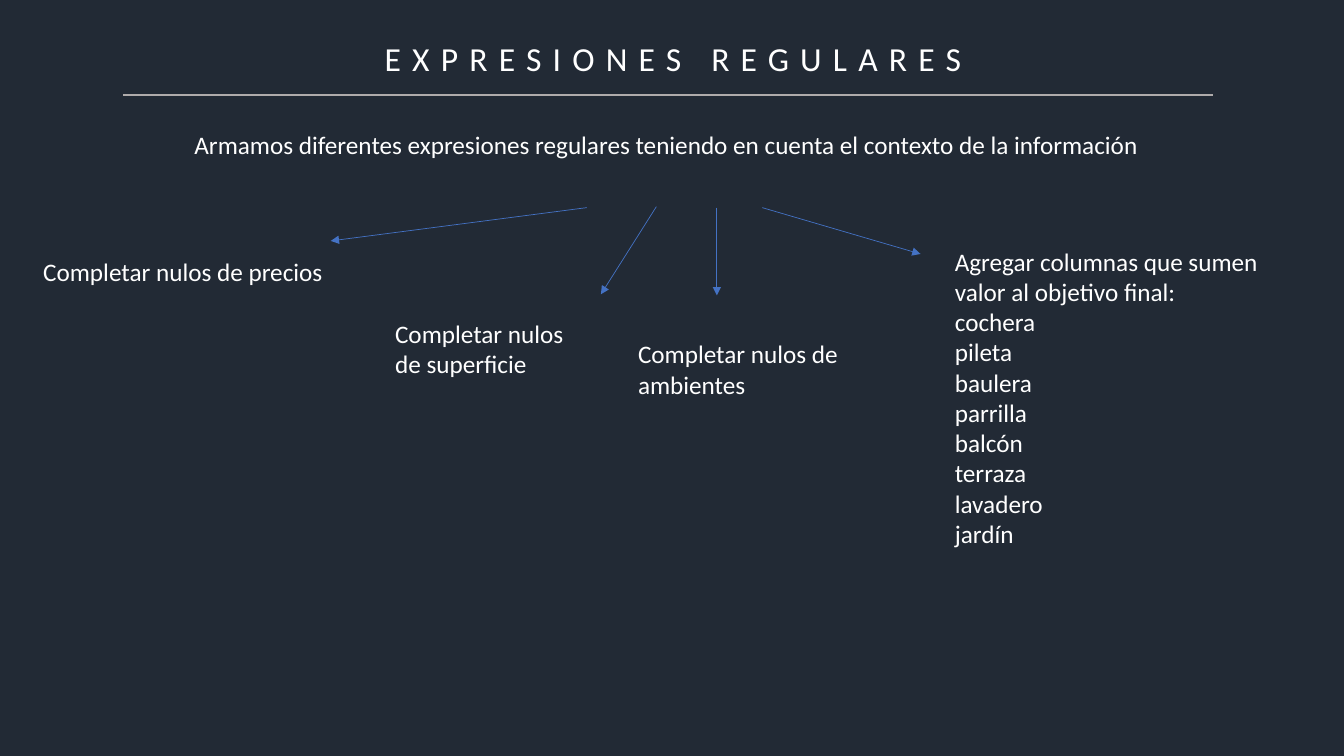
from dataclasses import dataclass

from lxml import etree
from pptx import Presentation, util as u
from pptx.dml.color import RGBColor
from pptx.enum import shapes, text
from pptx.oxml.ns import qn

PX = 9144  # EMU per px, 100 px to the inch


@dataclass(frozen=True)
class Theme:
    back: str = "222A35"
    ink: str = "FFFFFF"
    rule: str = "AFABAB"
    arrow: str = "4472C4"
    font: str = "Calibri"
    title: int = 24
    body: int = 18


THEME = Theme()

NOTES = [
    ((183, 123, 958, 40), False,
     "Armamos diferentes expresiones regulares teniendo en cuenta el contexto de la información"),
    ((33, 249, 301, 40), False, "Completar nulos de precios"),
    ((382, 311, 212, 71), True, "Completar nulos de superficie"),
    ((623, 331, 244, 71), True, "Completar nulos de ambientes"),
]
COLUMNS = [
    "Agregar columnas que sumen", "valor al objetivo final:",
    "cochera", "pileta", "baulera", "parrilla",
    "balcón", "terraza", "lavadero", "jardín",
]
ARROWS = [
    (582, 206, 328, 239),
    (651, 205, 596, 292),
    (711, 206, 711, 293),
    (756, 206, 913, 252),
]


def place(shape, box):
    shape.left, shape.top, shape.width, shape.height = (v * PX for v in box)


def write(para, words, size):
    run = para.add_run()
    run.text = words
    run.font.name = THEME.font
    run.font.size = u.Pt(size)
    run.font.color.rgb = RGBColor.from_string(THEME.ink)
    return run


def add_title(slide, box, words):
    title = slide.shapes.title
    place(title, box)
    para = title.text_frame.paragraphs[0]
    para.alignment = text.PP_ALIGN.CENTER
    run = write(para, words, THEME.title)
    run.font._element.set("spc", "800")


def add_note(slide, box, wrap, words):
    note = slide.shapes.add_textbox(*(v * PX for v in box))
    note.text_frame.word_wrap = wrap
    write(note.text_frame.paragraphs[0], words, THEME.body)


def add_list(slide, box, lines):
    """Fill the body placeholder with plain lines, without bullets."""
    body = slide.placeholders[1]
    place(body, box)
    frame = body.text_frame
    frame.word_wrap = False
    for i, line in enumerate(lines):
        para = frame.add_paragraph() if i else frame.paragraphs[0]
        props = para._p.get_or_add_pPr()
        props.set("marL", "0")
        props.set("indent", "0")
        etree.SubElement(props, qn("a:buNone"))
        para.space_before = u.Pt(0)
        write(para, line, THEME.body)


def add_line(slide, ends, color, width, arrow=False):
    line = slide.shapes.add_connector(
        shapes.MSO_CONNECTOR.STRAIGHT, *(v * PX for v in ends))
    line.line.color.rgb = RGBColor.from_string(color)
    line.line.width = u.Pt(width)
    if arrow:
        tip = etree.SubElement(line.line._get_or_add_ln(), qn("a:tailEnd"))
        tip.set("type", "triangle")
    etree.SubElement(line._element.spPr, qn("a:effectLst"))


def main():
    deck = Presentation()
    deck.slide_width, deck.slide_height = 1333 * PX, 750 * PX
    slide = deck.slides.add_slide(deck.slide_layouts[1])
    fill = slide.background.fill
    fill.solid()
    fill.fore_color.rgb = RGBColor.from_string(THEME.back)

    add_title(slide, (109, 33, 1117, 50), "EXPRESIONES REGULARES")
    add_line(slide, (122, 94, 1203, 94), THEME.rule, 1.5)
    for box, wrap, words in NOTES:
        add_note(slide, box, wrap, words)
    add_list(slide, (937, 239, 324, 313), COLUMNS)
    for ends in ARROWS:
        add_line(slide, ends, THEME.arrow, 0.5, arrow=True)
    deck.save("out.pptx")


if __name__ == "__main__":
    main()
